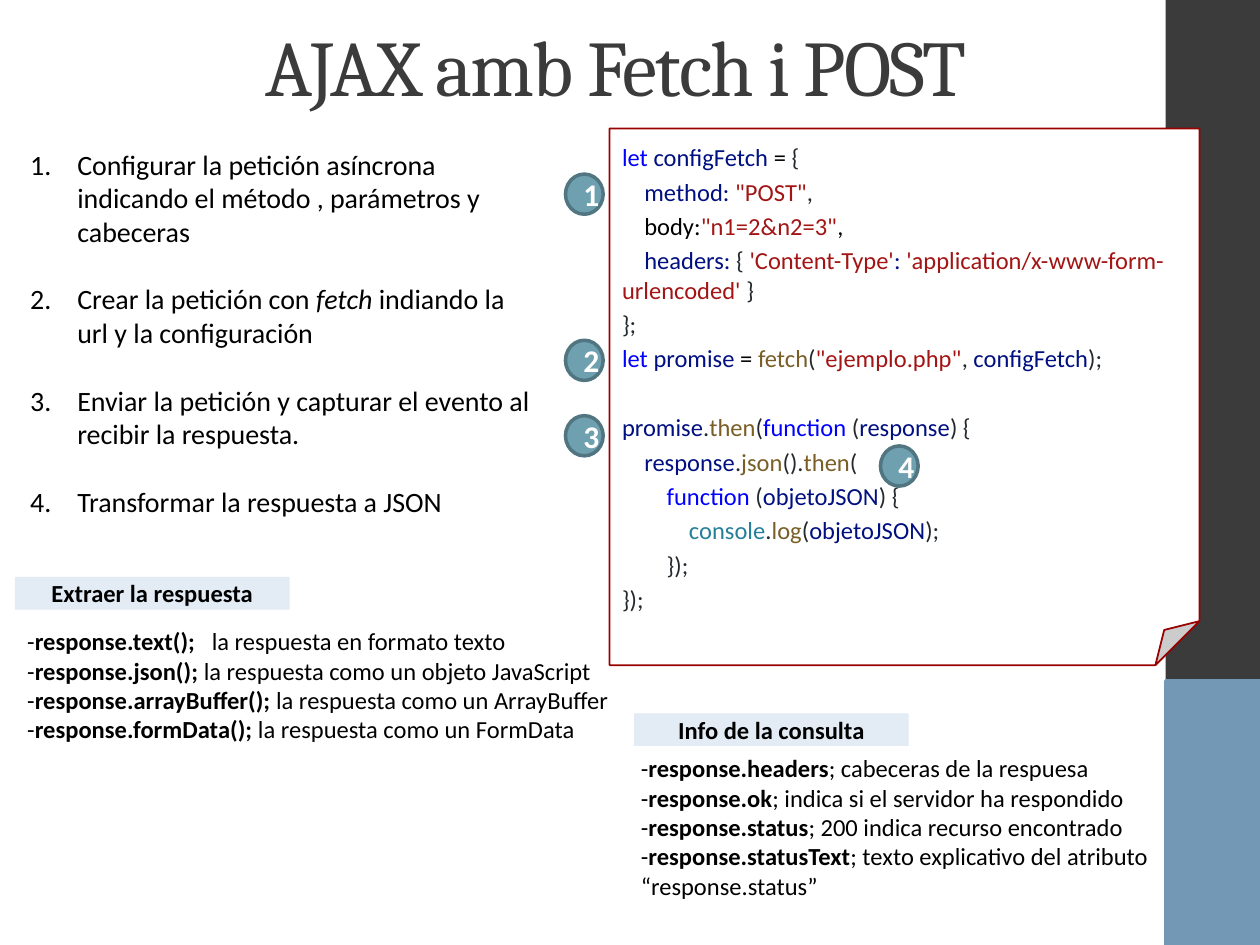
import pptx
import pptx.dml.color
import pptx.enum.shapes
import pptx.enum.text
import pptx.oxml.ns
import pptx.util
from dataclasses import dataclass
from lxml import etree

Cm = pptx.util.Cm
Pt = pptx.util.Pt
qn = pptx.oxml.ns.qn
Shapes = pptx.enum.shapes.MSO_SHAPE
Anchor = pptx.enum.text.MSO_ANCHOR
CENTER = pptx.enum.text.PP_ALIGN.CENTER


@dataclass(frozen=True)
class Theme:
    heading_font: str = "Cambria"
    body_font: str = "Calibri"
    title_size: float = 45
    badge_size: float = 18
    step_size: float = 16
    small_size: float = 14
    dark: str = "3B3B3B"
    accent: str = "7398B6"
    label: str = "E3EBF5"
    badge: str = "6EA0B0"
    badge_line: str = "517682"
    card_line: str = "990000"
    white: str = "FFFFFF"
    black: str = "000000"
    keyword: str = "0000FF"
    variable: str = "001080"
    string: str = "A31515"
    method: str = "795E26"
    builtin: str = "267F99"
    plain: str = "24292E"


theme = Theme()


def add_box(kind, left, top, width, height, fill=None, line=None, line_width=1):
    """Add a preset shape, or a text box when kind is None; lengths in cm."""
    frame = [Cm(value) for value in (left, top, width, height)]
    if kind is None:
        shape = slide.shapes.add_textbox(*frame)
    else:
        shape = slide.shapes.add_shape(kind, *frame)
        shape.shadow.inherit = False
        shape.fill.solid()
        shape.fill.fore_color.rgb = pptx.dml.color.RGBColor.from_string(fill)
        if line:
            shape.line.color.rgb = pptx.dml.color.RGBColor.from_string(line)
            shape.line.width = Pt(line_width)
        else:
            shape.line.fill.background()
    shape.text_frame.word_wrap = True
    shape.text_frame.vertical_anchor = Anchor.TOP
    return shape


def add_run(paragraph, text, size=theme.small_size, color=theme.black,
            font=theme.body_font, bold=False, italic=False):
    run = paragraph.add_run()
    run.text = text
    run.font.name = font
    run.font.size = Pt(size)
    run.font.bold = bold
    run.font.italic = italic
    run.font.color.rgb = pptx.dml.color.RGBColor.from_string(color)
    return run


presentation = pptx.Presentation()
presentation.slide_width = Cm(25.4)
presentation.slide_height = Cm(19.05)
slide = presentation.slides.add_slide(presentation.slide_layouts[6])

# Side band
add_box(Shapes.RECTANGLE, 23.5, 0, 1.9, 19.05, theme.dark)
add_box(Shapes.RECTANGLE, 23.5, 13.73, 1.9, 5.32, theme.accent, theme.accent, 2)

# Title
title = add_box(None, 1.3, 0.18, 22.23, 2.26)
title.text_frame.vertical_anchor = Anchor.MIDDLE
paragraph = title.text_frame.paragraphs[0]
paragraph.alignment = CENTER
run = add_run(paragraph, "AJAX amb Fetch i POST", size=theme.title_size,
              color=theme.dark, font=theme.heading_font)
run.font._element.set("spc", "-100")

# Code card: (indent level, [(text, colour), ...]); None leaves a gap
keyword, variable, string = theme.keyword, theme.variable, theme.string
method, builtin, plain, black = theme.method, theme.builtin, theme.plain, theme.black
code_lines = [
    (0, [("let ", keyword), ("configFetch ", variable), ("=", black), (" {", plain)]),
    (1, [("method: ", variable), ('"POST"', string), (",", plain)]),
    (1, [("body:", black), ('"n1=2&n2=3"', string), (",", black)]),
    (1, [("headers:", variable), (" { ", plain), ("'Content-Type'", string),
         (": ", variable), ("'application/x-www-form-urlencoded'", string),
         (" }", plain)]),
    (0, [("};", plain)]),
    (0, [("let ", keyword), ("promise ", variable), ("= ", black), ("fetch", method),
         ("(", plain), ('"ejemplo.php"', string), (", ", plain),
         ("configFetch", variable), (");", plain)]),
    None,
    (0, [("promise", variable), (".", plain), ("then", method), ("(", plain),
         ("function", keyword), (" (", plain), ("response", variable), (") {", plain)]),
    (1, [("response", variable), (".", plain), ("json", method), ("().", plain),
         ("then", method), ("(", plain)]),
    (2, [("function", keyword), (" (", plain), ("objetoJSON", variable),
         (") {", plain)]),
    (3, [("console", builtin), (".", plain), ("log", method), ("(", plain),
         ("objetoJSON", variable), (");", plain)]),
    (2, [("});", plain)]),
    (0, [("});", plain)]),
]
card = add_box(Shapes.FOLDED_CORNER, 12.29, 2.59, 11.89, 10.82,
               theme.white, theme.card_line)
fold = card._element.spPr.find(qn("a:prstGeom")).get_or_add_avLst()
etree.SubElement(fold, qn("a:gd"), name="adj", fmla="val 8200")
card.text_frame.vertical_anchor = Anchor.MIDDLE
card.text_frame.margin_bottom = 0
line_gap, blank_line = 2.8, 19.9
space_before = line_gap
paragraph = card.text_frame.paragraphs[0]
for code_line in code_lines:
    if code_line is None:
        space_before += blank_line
        continue
    level, tokens = code_line
    if paragraph.runs:
        paragraph = card.text_frame.add_paragraph()
    paragraph.alignment = pptx.enum.text.PP_ALIGN.LEFT
    paragraph.space_before = Pt(space_before)
    paragraph._p.get_or_add_pPr().set("indent", str(Cm(0.45 * level)))
    for text, color in tokens:
        add_run(paragraph, text, color=color)
    space_before = line_gap

# Labelled notes: label, label place, notes place, [(call, explanation), ...]
notes = [
    ("Info de la consulta", (12.78, 14.38), (12.67, 15.06, 11.25, 3.25), [
        ("response.headers", "; cabeceras de la respuesa"),
        ("response.ok", "; indica si el servidor ha respondido"),
        ("response.status", "; 200 indica recurso encontrado"),
        ("response.statusText", "; texto explicativo del atributo “response.status”"),
    ]),
    ("Extraer la respuesta", (0.3, 11.63), (0.3, 12.5, 13.18, 2.64), [
        ("response.text();", "\tla respuesta en formato texto"),
        ("response.json();", " la respuesta como un objeto JavaScript"),
        ("response.arrayBuffer();", " la respuesta como un ArrayBuffer"),
        ("response.formData();", " la respuesta como un FormData"),
    ]),
]
for heading, label_place, notes_place, entries in notes:
    label = add_box(Shapes.RECTANGLE, *label_place, 5.54, 0.66, theme.label)
    frame = label.text_frame
    frame.margin_left = frame.margin_right = Cm(0.05)
    frame.margin_top = frame.margin_bottom = Cm(0.03)
    frame.paragraphs[0].alignment = CENTER
    add_run(frame.paragraphs[0], heading, bold=True)

    frame = add_box(None, *notes_place).text_frame
    for index, (call, explanation) in enumerate(entries):
        paragraph = frame.add_paragraph() if index else frame.paragraphs[0]
        add_run(paragraph, "-")
        add_run(paragraph, call, bold=True)
        add_run(paragraph, explanation)
        if explanation.startswith("\t"):
            tabs = etree.SubElement(paragraph._p.get_or_add_pPr(), qn("a:tabLst"))
            etree.SubElement(tabs, qn("a:tab"), pos=str(Cm(3.72)), algn="l")

# Numbered steps: runs alternate between regular and italic
steps = [
    ["Configurar la petición asíncrona indicando el método , parámetros y cabeceras"],
    ["Crear la petición con ", "fetch", " indiando la url y la configuración"],
    ["Enviar la petición y capturar el evento al recibir la respuesta."],
    ["Transformar la respuesta a JSON"],
]
frame = add_box(None, 0.36, 2.84, 10.62, 8.31).text_frame
for index, texts in enumerate(steps):
    paragraph = frame.add_paragraph() if index else frame.paragraphs[0]
    paragraph.space_before = Pt(19.5 if index else 0)
    properties = paragraph._p.get_or_add_pPr()
    properties.set("marL", str(Cm(0.95)))
    properties.set("indent", str(Cm(-0.95)))
    etree.SubElement(properties, qn("a:buFont"), typeface="+mj-lt")
    etree.SubElement(properties, qn("a:buAutoNum"), type="arabicPeriod")
    for position, text in enumerate(texts):
        add_run(paragraph, text, size=theme.step_size, italic=position % 2 == 1)

# Step badges beside the code
badge_places = [(11.4, 3.51), (11.4, 6.86), (11.4, 8.38), (17.75, 8.99)]
for number, (left, top) in enumerate(badge_places, start=1):
    badge = add_box(Shapes.OVAL, left, top, 0.76, 0.81,
                    theme.badge, theme.badge_line, 2)
    badge.text_frame.vertical_anchor = Anchor.MIDDLE
    paragraph = badge.text_frame.paragraphs[0]
    paragraph.alignment = CENTER
    add_run(paragraph, str(number), size=theme.badge_size,
            color=theme.white, bold=True)

presentation.save("out.pptx")
